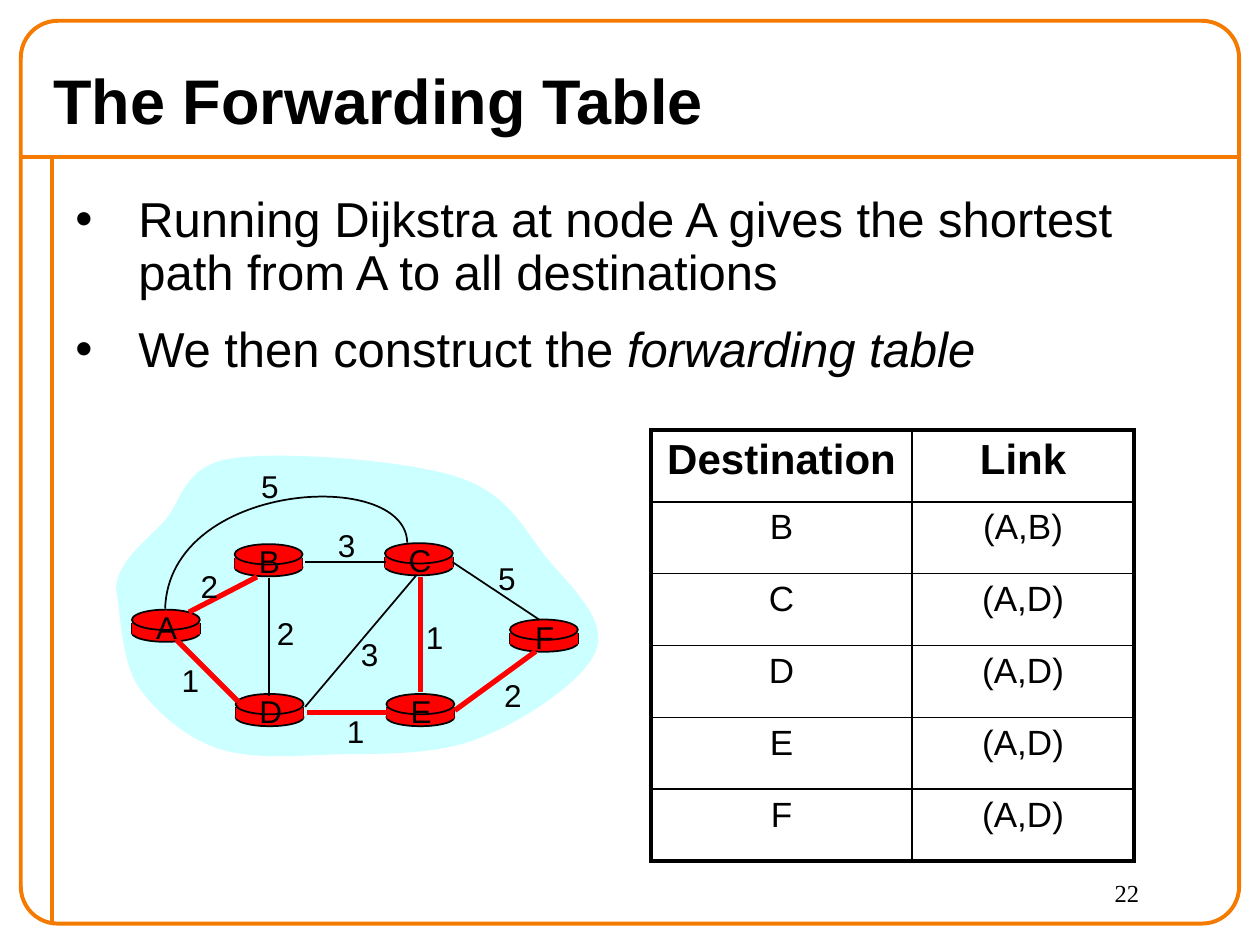
from dataclasses import dataclass

from lxml import etree
from pptx import Presentation
from pptx.dml.color import RGBColor
from pptx.enum.shapes import MSO_CONNECTOR, MSO_SHAPE
from pptx.enum.text import MSO_ANCHOR, PP_ALIGN
from pptx.oxml.ns import qn
from pptx.util import Cm, Pt

STRAIGHT = MSO_CONNECTOR.STRAIGHT
OVAL, RECTANGLE, ROUNDED = MSO_SHAPE.OVAL, MSO_SHAPE.RECTANGLE, MSO_SHAPE.ROUNDED_RECTANGLE
CENTER, MIDDLE = PP_ALIGN.CENTER, MSO_ANCHOR.MIDDLE


@dataclass(frozen=True)
class Theme:
    ink: str = "000000"
    frame: str = "F47A00"
    cloud: str = "CCFFFF"
    accent: str = "FF0000"
    font: str = "Arial"
    number_font: str = "Times New Roman"
    title: int = 36
    body: int = 28
    heading: int = 24
    cell: int = 20
    label: int = 18
    number: int = 14
    thin: float = 1
    medium: float = 2.25
    thick: float = 3


@dataclass(frozen=True)
class Box:
    left: float
    top: float
    width: float
    height: float

    def point(self, x, y):
        return Cm(self.left + x), Cm(self.top + y)

    def inner(self, x, y, width, height):
        return Box(self.left + x, self.top + y, width, height)

    def lengths(self):
        return Cm(self.left), Cm(self.top), Cm(self.width), Cm(self.height)


THEME = Theme()
CLOUD = [
    (0, 2.77), (0.03, 2.24), (0.56, 1.85), (0.97, 1.42),
    (1.35, 0.99), (1.35, 0.3), (2.34, 0.15), (3.3, 0), (5.77, 0.18), (6.83, 0.51),
    (7.9, 0.84), (8.2, 1.55), (8.66, 2.13), (9.14, 2.72), (9.91, 3.38), (9.68, 4.01),
    (9.47, 4.62), (8.2, 5.46), (7.32, 5.79), (6.43, 6.15), (5.26, 6.1), (4.37, 6.12),
    (3.51, 6.15), (2.69, 6.22), (2.03, 5.99), (1.4, 5.77), (0.79, 5.26), (0.43, 4.72),
    (0.1, 4.19), (0.08, 3.18), (0, 2.77),
]
ARC = [(5.87, 1.85), (5.84, 0.33), (1.07, 0.61), (0.99, 3.18)]
ROUTERS = {"A": (0.32, 3.2), "B": (2.39, 1.88), "C": (5.42, 1.86),
           "D": (2.41, 4.9), "E": (5.45, 4.9), "F": (7.94, 3.4)}
TREE_LINKS = [(6.14, 2.54, 6.14, 4.85), (6.83, 5.23, 8.46, 4.04), (5.46, 5.28, 3.84, 5.28),
              (1.22, 3.81, 2.46, 5.05), (1.47, 3.25, 2.84, 2.54)]
OTHER_LINKS = [(3.09, 2.57, 3.09, 4.95), (3.81, 5.16, 6.05, 2.51),
               (5.44, 2.24, 3.81, 2.24), (8.53, 3.4, 6.78, 2.24)]
WEIGHTS = [("2", 1.88, 2.72), ("2", 3.42, 3.68), ("1", 1.5, 4.62), ("3", 5.11, 4.09),
           ("1", 4.83, 5.64), ("1", 6.42, 3.76), ("2", 8, 4.93), ("5", 7.88, 2.56),
           ("3", 4.65, 1.89), ("5", 3.1, 0.71)]
ROUTES = [("Destination", "Link"), ("B", "(A,B)"), ("C", "(A,D)"),
          ("D", "(A,D)"), ("E", "(A,D)"), ("F", "(A,D)")]


def paint(shape, fill=None, line=None, width=THEME.thin):
    shape.shadow.inherit = False
    if fill:
        shape.fill.solid()
        shape.fill.fore_color.rgb = RGBColor.from_string(fill)
    else:
        shape.fill.background()
    if line:
        shape.line.color.rgb = RGBColor.from_string(line)
        shape.line.width = Pt(width)
    else:
        shape.line.fill.background()


def add_line(shapes, box, ends, color=THEME.ink, width=THEME.thin):
    line = shapes.add_connector(STRAIGHT, *box.point(*ends[:2]), *box.point(*ends[2:]))
    line.line.color.rgb = RGBColor.from_string(color)
    line.line.width = Pt(width)
    etree.SubElement(line._element.spPr, qn("a:effectLst"))


def set_font(paragraph, size, name=THEME.font, bold=False):
    paragraph.font.size = Pt(size)
    paragraph.font.name = name
    paragraph.font.bold = bold
    paragraph.font.color.rgb = RGBColor.from_string(THEME.ink)


def add_text(shapes, box, text, size, name=THEME.font, bold=False, wrap=True):
    frame = shapes.add_textbox(*box.lengths()).text_frame
    frame.word_wrap = wrap
    paragraph = frame.paragraphs[0]
    paragraph.text = text
    set_font(paragraph, size, name, bold)
    return frame


def add_label(shapes, box, text, x, y):
    frame = add_text(shapes, box.inner(x - 0.47, y - 0.51, 0.94, 1.02), text, THEME.label, wrap=False)
    frame.paragraphs[0].alignment = CENTER


def add_curve(shapes, box, points, closed):
    corners = [box.point(*point) for point in points]
    builder = shapes.build_freeform(*corners[0])
    builder.add_line_segments(corners[1:], close=closed)
    shape = builder.convert_to_shape()
    segments = list(shape._element.iter(qn("a:lnTo")))
    for index in range(0, len(points) - 1, 3):
        first, *others = segments[index:index + 3]
        curve = etree.Element(qn("a:cubicBezTo"))
        first.addprevious(curve)
        for segment in (first, *others):
            curve.append(segment[0])
            segment.getparent().remove(segment)
    return shape


def add_frame(slide, box):
    for ends in ((0, 2.75, box.width, 2.75), (0.63, 2.75, 0.63, box.height)):
        add_line(slide.shapes, box, ends, THEME.frame, THEME.medium)
    outline = slide.shapes.add_shape(ROUNDED, *box.lengths())
    outline.adjustments[0] = 0.041
    paint(outline, line=THEME.frame, width=THEME.medium)
    title = add_text(slide.shapes, box.inner(0.41, 0.62, 24.13, 1.91),
                     "The Forwarding Table", THEME.title, bold=True)
    title.vertical_anchor = MIDDLE
    add_text(slide.shapes, box.inner(21.8, 17.15, 2.54, 1.07), "22", THEME.number, THEME.number_font)


def add_bullets(slide, box):
    frame = add_text(slide.shapes, box, "Running Dijkstra at node A gives the shortest "
                     "path from A to all destinations", THEME.body)
    second = frame.add_paragraph()
    second.add_run().text = "We then construct the "
    emphasis = second.add_run()
    emphasis.text = "forwarding table"
    emphasis.font.italic = True
    set_font(second, THEME.body)
    second.space_before = Pt(THEME.body / 2)
    for paragraph in frame.paragraphs:
        paragraph.line_spacing = 0.9
        properties = paragraph._p.get_or_add_pPr()
        properties.set("marL", str(Cm(1.27)))
        properties.set("indent", str(-Cm(1.27)))
        for bullet in (etree.Element(qn("a:buFont"), typeface=THEME.font),
                       etree.Element(qn("a:buChar"), char="•")):
            properties.insert_element_before(bullet, "a:tabLst", "a:defRPr", "a:extLst")


def add_router(shapes, box):
    paint(shapes.add_shape(OVAL, *box.inner(0, 0.29, box.width, 0.36).lengths()), THEME.accent, THEME.ink)
    for x in (0, box.width):
        add_line(shapes, box, (x, 0.27, x, 0.49))
    paint(shapes.add_shape(RECTANGLE, *box.inner(0, 0.27, box.width, 0.23).lengths()), THEME.accent)
    paint(shapes.add_shape(OVAL, *box.inner(0, 0, box.width, 0.41).lengths()), THEME.accent, THEME.ink)


def add_network(slide, box):
    shapes = slide.shapes.add_group_shape().shapes
    paint(add_curve(shapes, box, CLOUD, True), THEME.cloud)
    for x, y in ROUTERS.values():
        add_router(shapes, box.inner(x, y, 1.37, 0.65))
    for ends in OTHER_LINKS:
        add_line(shapes, box, ends)
    for ends in TREE_LINKS:
        add_line(shapes, box, ends, THEME.accent, THEME.thick)
    paint(add_curve(shapes, box, ARC, False), line=THEME.ink)
    for name, (x, y) in ROUTERS.items():
        add_label(shapes, box, name, x + 0.7, y + 0.35)
    for weight in WEIGHTS:
        add_label(shapes, box, *weight)


def add_borders(cell, outer_sides):
    properties = cell._tc.get_or_add_tcPr()
    for index, (tag, outer) in enumerate(zip(("a:lnL", "a:lnR", "a:lnT", "a:lnB"), outer_sides)):
        width = Pt(THEME.medium if outer else THEME.thin)
        border = etree.Element(qn(tag), w=str(width))
        fill = etree.SubElement(border, qn("a:solidFill"))
        etree.SubElement(fill, qn("a:srgbClr"), val=THEME.ink)
        properties.insert(index, border)


def add_forwarding_table(slide, box):
    table = slide.shapes.add_table(len(ROUTES), 2, *box.lengths()).table
    table.first_row = table.horz_banding = False
    for column, width in zip(table.columns, (5.27, box.width - 5.27)):
        column.width = Cm(width)
    for row, values in enumerate(ROUTES):
        table.rows[row].height = Cm(box.height / len(ROUTES))
        for column, value in enumerate(values):
            cell = table.cell(row, column)
            cell.fill.background()
            paragraph = cell.text_frame.paragraphs[0]
            paragraph.text = value
            paragraph.alignment = CENTER
            set_font(paragraph, THEME.cell if row else THEME.heading, bold=row == 0)
            add_borders(cell, (column == 0, column == 1, row == 0, row == len(ROUTES) - 1))


presentation = Presentation()
presentation.slide_width, presentation.slide_height = Cm(25.4), Cm(19.05)
slide = presentation.slides.add_slide(presentation.slide_layouts[6])
add_frame(slide, Box(0.42, 0.42, 24.56, 18.2))
add_bullets(slide, Box(1.27, 3.81, 22.86, 13.77))
add_network(slide, Box(2.34, 9.09, 9.93, 6.22))
add_forwarding_table(slide, Box(13.12, 8.67, 9.74, 8.69))
presentation.save("out.pptx")
